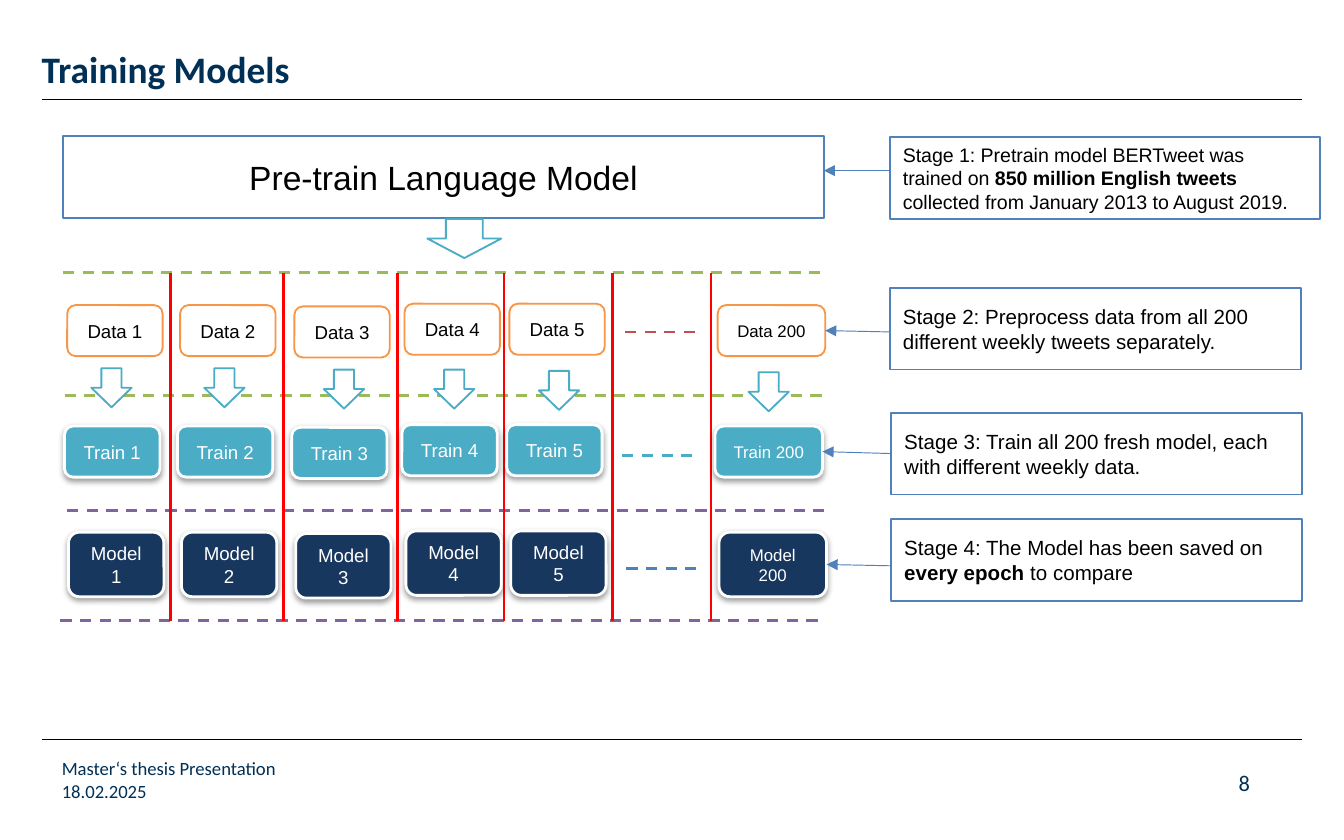
from lxml import etree
from pptx import Presentation
from pptx.dml.color import RGBColor
from pptx.enum.dml import MSO_LINE
from pptx.enum.shapes import MSO_CONNECTOR, MSO_SHAPE
from pptx.enum.text import MSO_ANCHOR, MSO_AUTO_SIZE, PP_ALIGN
from pptx.oxml import parse_xml
from pptx.oxml.ns import nsdecls, qn
from pptx.util import Pt

PX = 9144  # one hundredth of an inch

BLACK = RGBColor(0x00, 0x00, 0x00)
WHITE = RGBColor(0xFF, 0xFF, 0xFF)
INK = RGBColor(0x00, 0x30, 0x56)
NAVY = RGBColor(0x17, 0x37, 0x5E)
BLUE = RGBColor(0x4F, 0x81, 0xBD)
TEAL = RGBColor(0x4B, 0xAC, 0xC6)
ORANGE = RGBColor(0xF7, 0x96, 0x46)
GREEN = RGBColor(0x9B, 0xBB, 0x59)
PURPLE = RGBColor(0x80, 0x64, 0xA2)
BRICK = RGBColor(0xC0, 0x50, 0x4D)
RED = RGBColor(0xFF, 0x00, 0x00)

# week, left, shift down, width, text size, arrow shift right, arrow top
WEEKS = [
    (1, 5, 0, 71, 10, 18, 71),
    (2, 89, 0, 71, 10, 18, 71),
    (3, 174, 1, 71, 10, 22, 72),
    (4, 256, -1, 71, 10, 22, 72),
    (5, 334, -1, 71, 10, 22, 73),
    (200, 489, 0, 80, 9, 23, 74),
]
# name, shift right, top, height, fill, line, text colour, raised
ROWS = [
    ("Data", 0, 24, 38, WHITE, ORANGE, BLACK, False),
    ("Train", -2, 114, 38, TEAL, WHITE, WHITE, True),
    ("Model", 1, 193, 48, NAVY, WHITE, WHITE, True),
]
# left, right, height, colour
BORDERS = [(2, 568, 0, GREEN), (3, 569, 91, GREEN),
           (5, 571, 177, PURPLE), (0, 568, 259, PURPLE)]
GAPS = [(420, 477, 44, BRICK), (418, 476, 136, TEAL), (421, 478, 220, BLUE)]
WALLS = [82, 166, 251, 330, 411, 484]

# box, text size, runs with bold flag, arrow height, arrow end, joined at start
STAGES = [
    ((662, 102, 320, 61), 10.5,
     [("Stage 1: Pretrain model BERTweet was trained on ", False),
      ("850 million English tweets", True),
      (" collected from January 2013 to August 2019.", False)], 127, False),
    ((662, 214, 306, 61), 11,
     [("Stage 2: Preprocess data from all 200 different weekly tweets "
       "separately.", False)], 247, False),
    ((663, 307, 306, 61), 11,
     [("Stage 3: Train all 200 fresh model, each with different weekly data.",
       False)], 338, True),
    ((663, 386, 306, 61), 11,
     [("Stage 4: The Model has been saved on ", False),
      ("every epoch ", True), ("to compare", False)], 421, False),
]


def scale(*nums):
    return [n * PX for n in nums]


def set_all(item, **attrs):
    for name, value in attrs.items():
        setattr(item, name, value)


def write(frame, runs, size, color, name="Arial", align=PP_ALIGN.LEFT):
    """Fill the first paragraph with (text, bold) runs."""
    para = frame.paragraphs[0]
    para.alignment = align
    for text, bold in runs:
        run = para.add_run()
        run.text = text
        set_all(run.font, size=Pt(size), name=name, bold=bold)
        run.font.color.rgb = color
    return para


def add_line(slide, ends, color, width, dash=False, head=False):
    line = slide.shapes.add_connector(MSO_CONNECTOR.STRAIGHT, *scale(*ends))
    line.line.color.rgb = color
    line.line.width = Pt(width)
    if dash:
        line.line.dash_style = MSO_LINE.DASH
    if head:
        tail = etree.SubElement(line.line._get_or_add_ln(), qn("a:tailEnd"))
        tail.set("type", "triangle")
    etree.SubElement(line._element.spPr, qn("a:effectLst"))
    return line


def add_box(slide, kind, box, fill, edge, width=1):
    shape = slide.shapes.add_shape(kind, *scale(*box))
    shape.shadow.inherit = False
    shape.fill.solid()
    shape.fill.fore_color.rgb = fill
    shape.line.color.rgb = edge
    shape.line.width = Pt(width)
    shape.text_frame.vertical_anchor = MSO_ANCHOR.MIDDLE
    return shape


def cast(shape):
    """Give the shape a soft shadow below it."""
    shape._element.spPr.find(qn("a:effectLst")).append(parse_xml(
        f'<a:outerShdw {nsdecls("a")} blurRad="40000" dist="20000" '
        'dir="5400000" rotWithShape="0"><a:srgbClr val="000000">'
        '<a:alpha val="38000"/></a:srgbClr></a:outerShdw>'))


def add_note(slide, box, text, size, align=PP_ALIGN.LEFT):
    frame = slide.shapes.add_textbox(*scale(*box)).text_frame
    set_all(frame, word_wrap=True, margin_left=0, margin_right=0,
            margin_top=0, margin_bottom=0)
    write(frame, [(text, False)], size, INK, "Calibri", align)


def add_frame(slide, left, top, width, height):
    """Place the title, the two rules and the footer."""
    title = slide.shapes.title
    set_all(title, **dict(zip(("left", "top", "width", "height"),
                              scale(left, top, width, 50))))
    set_all(title.text_frame, vertical_anchor=MSO_ANCHOR.BOTTOM,
            auto_size=MSO_AUTO_SIZE.NONE, word_wrap=True, margin_left=0,
            margin_right=0, margin_top=0, margin_bottom=0)
    para = write(title.text_frame, [("Training Models", True)], 20, INK,
                 "Calibri")
    para.line_spacing = 0.9
    base = top + height
    for y in (top + 56, base - 50):
        add_line(slide, (left, y, left + width, y), BLACK, 0.5)
    add_note(slide, (left + 15, base - 37, 422, 20),
             "Master‘s thesis Presentation", 10)
    add_note(slide, (left + 15, base - 20, 311, 20), "18.02.2025", 10)
    add_note(slide, (left + 745, base - 28, 154, 20), "8", 12, PP_ALIGN.RIGHT)


def add_source(slide, left, top, width, height):
    """Place the language model box and the arrow below it."""
    box = add_box(slide, MSO_SHAPE.RECTANGLE, (left, top, width, height),
                  WHITE, BLUE)
    write(box.text_frame, [("Pre-train Language Model", False)], 18, BLACK,
          align=PP_ALIGN.CENTER)
    add_box(slide, MSO_SHAPE.DOWN_ARROW,
            (left + 271, top + height + 1, 55, 29), WHITE, TEAL)


def add_grid(slide, left, top, height):
    """Place the weekly grid and return the last box of each row."""
    for start, end, y, color in BORDERS + GAPS:
        add_line(slide, (left + start, top + y, left + end, top + y),
                 color, 1.5, dash=True)
    for x in WALLS:
        add_line(slide, (left + x, top, left + x, top + height), RED, 1.5)
    last = []
    for name, dx, y, tall, fill, edge, ink, raised in ROWS:
        for week, x, dy, width, size, *_ in WEEKS:
            box = add_box(slide, MSO_SHAPE.ROUNDED_RECTANGLE,
                          (left + x + dx, top + y + dy, width, tall),
                          fill, edge, 1.5 if raised else 1)
            write(box.text_frame, [(f"{name} {week}", False)], size, ink,
                  align=PP_ALIGN.CENTER)
            if raised:
                cast(box)
        last.append(box)
    for _, x, _, _, _, dx, y in WEEKS:
        add_box(slide, MSO_SHAPE.DOWN_ARROW,
                (left + x + dx, top + y, 30, 29), WHITE, TEAL)
    return last


def add_stage(slide, box, size, runs, y, joined, goal):
    """Place a stage note and its arrow, which joins the goal if given."""
    note = add_box(slide, MSO_SHAPE.RECTANGLE, box, WHITE, BLUE)
    write(note.text_frame, runs, size, BLACK)
    arrow = add_line(slide, (box[0], y, 613, y), BLUE, 0.5, head=True)
    if joined:
        arrow.begin_connect(note, 1)
    if goal:
        arrow.end_connect(goal, 3)


def main():
    deck = Presentation()
    deck.slide_width, deck.slide_height = scale(1000, 625)
    slide = deck.slides.add_slide(deck.slide_layouts[5])
    add_frame(slide, 31, 18, 938, 582)
    add_source(slide, 47, 101, 566, 61)
    goals = add_grid(slide, 45, 203, 259)
    for stage, goal in zip(STAGES, [None] + goals):
        add_stage(slide, *stage, goal)
    deck.save("out.pptx")


if __name__ == "__main__":
    main()
